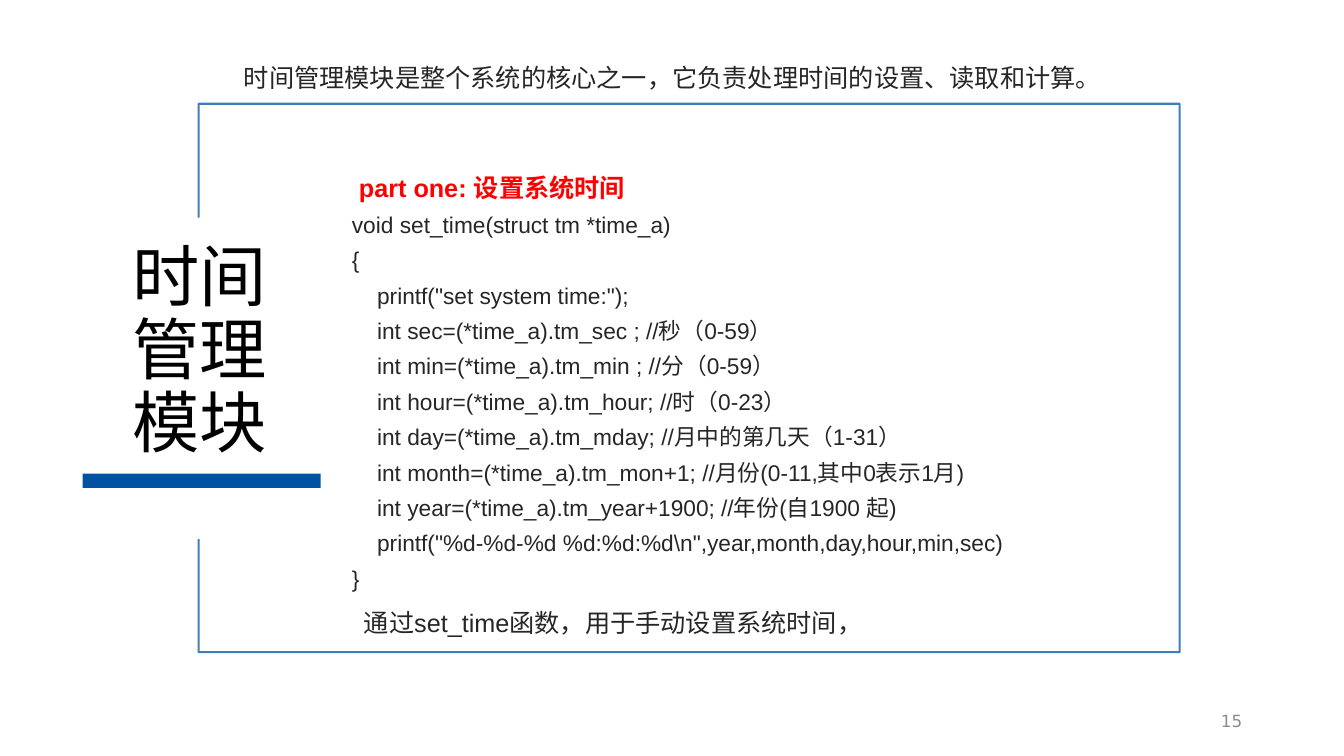
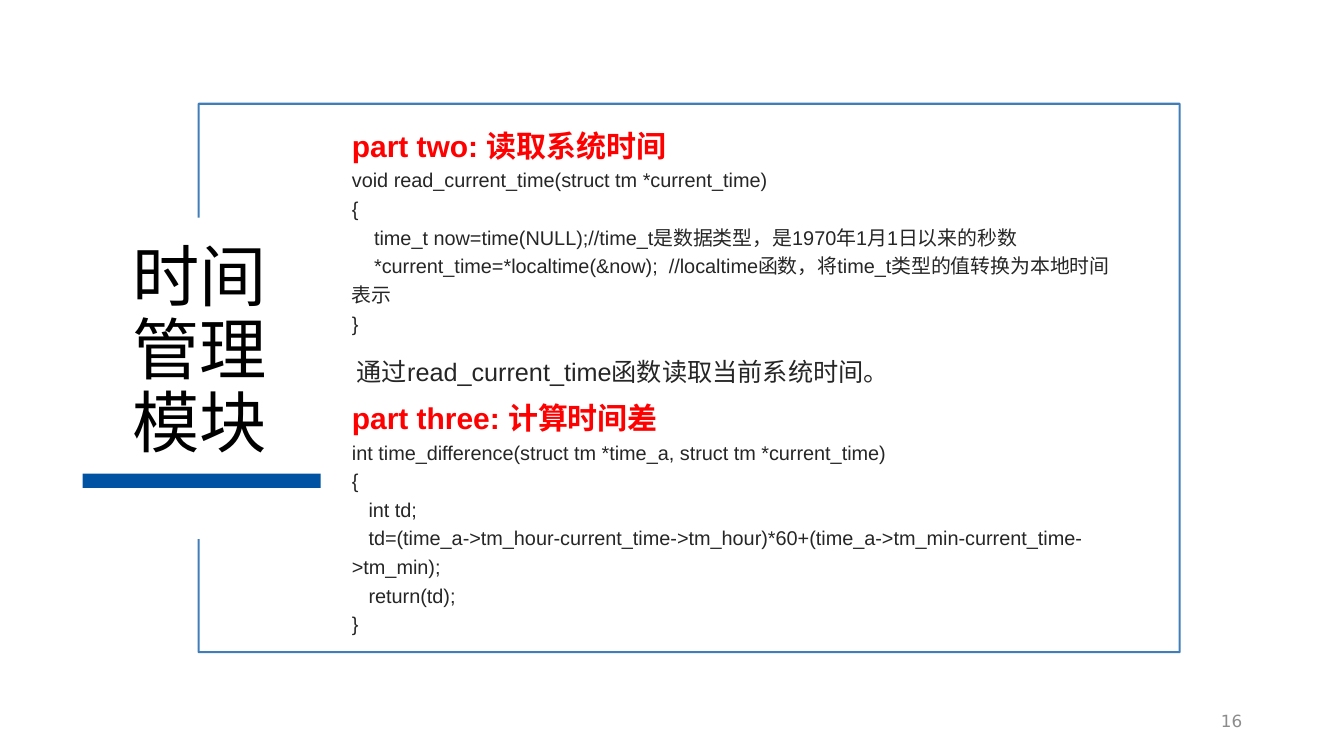
from dataclasses import dataclass

from lxml import etree
from pptx import Presentation
from pptx.dml.color import RGBColor
from pptx.enum.shapes import MSO_SHAPE
from pptx.enum.text import MSO_ANCHOR, MSO_AUTO_SIZE, PP_ALIGN
from pptx.oxml.ns import qn
from pptx.util import Pt

PX = 9144
RECTANGLE = MSO_SHAPE.RECTANGLE
TOP, MIDDLE, BOTTOM = MSO_ANCHOR.TOP, MSO_ANCHOR.MIDDLE, MSO_ANCHOR.BOTTOM
LEFT, CENTER, RIGHT, JUSTIFY = PP_ALIGN.LEFT, PP_ALIGN.CENTER, PP_ALIGN.RIGHT, PP_ALIGN.JUSTIFY
NO_AUTOFIT = MSO_AUTO_SIZE.NONE


@dataclass(frozen=True)
class Theme:
    accent: str = "0053A3"
    ink: str = "262626"
    heading: str = "FF0000"
    title: str = "000000"
    number: str = "8C8C8C"
    text_font: str = "Arial"
    title_font: str = "DejaVu Sans Mono"
    number_font: str = "DejaVu Sans"
    title_size: float = 48
    note_size: float = 18
    number_size: float = 12
    line_width: float = 1.5
    line_alpha: int = 75000


@dataclass(frozen=True)
class CodeStyle:
    heading_size: float
    code_size: float
    spacing: float
    heading_indent: int = 0
    step: int = 0
    part_gap: float = 0


class Deck:
    def __init__(self, theme):
        self.theme = theme
        self.file = Presentation()
        self.file.slide_width, self.file.slide_height = 1333 * PX, 750 * PX
        self.page = None

    def start_page(self, title_lines):
        self.page = self.file.slides.add_slide(self.file.slide_layouts[1])
        self.title(title_lines)

    def place(self, box, left, top, width, height):
        box.left, box.top, box.width, box.height = (n * PX for n in (left, top, width, height))

    def frame_text(self, box, anchor):
        frame = box.text_frame
        frame.word_wrap = True
        frame.auto_size = NO_AUTOFIT
        frame.vertical_anchor = anchor
        return frame

    def span(self, para, text, size, color, font, bold=False):
        span = para.add_run()
        span.text = text
        span.font.size = Pt(size)
        span.font.name = font
        span.font.bold = bold
        span.font.color.rgb = RGBColor.from_string(color)

    def title(self, lines):
        theme = self.theme
        box = self.page.shapes.title
        self.place(box, 58, 223, 280, 240)
        para = self.frame_text(box, BOTTOM).paragraphs[0]
        para.alignment = CENTER
        para.line_spacing = 0.9
        for index, line in enumerate(lines):
            if index:
                para.add_line_break()
            self.span(para, line, theme.title_size, theme.title, theme.title_font)

    def code(self, area, style, parts):
        theme = self.theme
        box = self.page.placeholders[1]
        self.place(box, *area)
        frame = self.frame_text(box, MIDDLE)
        for index, (heading, lines) in enumerate(parts):
            para = frame.add_paragraph() if index else frame.paragraphs[0]
            gap = style.part_gap if index else 0
            self.code_format(para, style.spacing, style.heading_indent, gap)
            self.span(para, heading, style.heading_size, theme.heading, theme.text_font, True)
            for depth, line in lines:
                para = frame.add_paragraph()
                self.code_format(para, style.spacing, depth * style.step)
                self.span(para, line, style.code_size, theme.ink, theme.text_font)

    def code_format(self, para, spacing, indent, gap=0):
        para.alignment = LEFT
        para.line_spacing = spacing
        para.space_before = Pt(gap)
        para.space_after = Pt(0)
        properties = para._p.get_or_add_pPr()
        properties.set("marL", "0")
        properties.set("indent", str(round(indent * PX)))
        etree.SubElement(properties, qn("a:buNone"))

    def text(self, area, text, size, color, font, align=LEFT, anchor=TOP, spacing=1.0):
        box = self.page.shapes.add_textbox(*(n * PX for n in area))
        para = self.frame_text(box, anchor).paragraphs[0]
        para.alignment = align
        para.line_spacing = spacing
        self.span(para, text, size, color, font)

    def note(self, area, text, **options):
        theme = self.theme
        self.text(area, text, theme.note_size, theme.ink, theme.text_font, **options)

    def number(self, value):
        theme = self.theme
        self.text((942, 695, 300, 40), str(value), theme.number_size, theme.number,
                  theme.number_font, align=RIGHT, anchor=MIDDLE)

    def bar(self):
        bar = self.page.shapes.add_shape(RECTANGLE, 82 * PX, 470 * PX, 236 * PX, 14 * PX)
        bar.shadow.inherit = False
        bar.fill.solid()
        bar.fill.fore_color.rgb = RGBColor.from_string(self.theme.accent)
        bar.line.fill.background()

    def bracket(self):
        left, top, right, bottom = 197, 103, 1170, 647
        builder = self.page.shapes.build_freeform(left, 216, scale=PX)
        builder.add_line_segments(
            [(left, top), (right, top), (right, bottom), (left, bottom), (left, 535)], close=False)
        outline = builder.convert_to_shape()
        outline.shadow.inherit = False
        outline.fill.background()
        outline.line.width = Pt(self.theme.line_width)
        outline.line.color.rgb = RGBColor.from_string(self.theme.accent)
        color = outline.line._ln.find(".//" + qn("a:srgbClr"))
        etree.SubElement(color, qn("a:alpha")).set("val", str(self.theme.line_alpha))

    def finish_page(self, number):
        self.bar()
        self.bracket()
        self.number(number)


MODULE_TITLE = ("时间", "管理", "模块")

SET_TIME = ("part one: 设置系统时间", [
    (0, "void set_time(struct tm *time_a)"),
    (0, "{"),
    (1, 'printf("set system time:");'),
    (1, "int sec=(*time_a).tm_sec ; //秒（0-59）"),
    (1, "int min=(*time_a).tm_min ; //分（0-59）"),
    (1, "int hour=(*time_a).tm_hour; //时（0-23）"),
    (1, "int day=(*time_a).tm_mday; //月中的第几天（1-31）"),
    (1, "int month=(*time_a).tm_mon+1; //月份(0-11,其中0表示1月)"),
    (1, "int year=(*time_a).tm_year+1900; //年份(自1900 起)"),
    (1, r'printf("%d-%d-%d %d:%d:%d\n",year,month,day,hour,min,sec)'),
    (0, "}"),
])

READ_TIME = ("part two: 读取系统时间", [
    (0, "void read_current_time(struct tm *current_time)"),
    (0, "{"),
    (4, "time_t now=time(NULL);//time_t是数据类型，是1970年1月1日以来的秒数"),
    (4, "*current_time=*localtime(&now);  //localtime函数，将time_t类型的值转换为本地时间表示"),
    (0, "}"),
])

TIME_DIFFERENCE = ("part three: 计算时间差", [
    (0, "int time_difference(struct tm *time_a, struct tm *current_time)"),
    (0, "{"),
    (3, "int td;"),
    (3, "td=(time_a->tm_hour-current_time->tm_hour)*60+(time_a->tm_min-current_time->tm_min);"),
    (3, "return(td);"),
    (0, "}"),
])


def main():
    deck = Deck(Theme())

    deck.start_page(MODULE_TITLE)
    deck.code((339, 159, 791, 431),
              CodeStyle(heading_size=18, code_size=16.2, spacing=1.3, heading_indent=7, step=25),
              [SET_TIME])
    deck.finish_page(15)
    deck.note((232, 48, 918, 55),
              "时间管理模块是整个系统的核心之一，它负责处理时间的设置、读取和计算。",
              align=JUSTIFY, spacing=1.3)
    deck.note((351, 598, 655, 40), "通过set_time函数，用于手动设置系统时间，")

    deck.start_page(MODULE_TITLE)
    deck.code((339, 115, 791, 520),
              CodeStyle(heading_size=21.4, code_size=14.2, spacing=1.2, step=5.5, part_gap=41),
              [READ_TIME, TIME_DIFFERENCE])
    deck.finish_page(16)
    deck.note((344, 349, 709, 40), "通过read_current_time函数读取当前系统时间。")

    deck.file.save("out.pptx")


if __name__ == "__main__":
    main()
